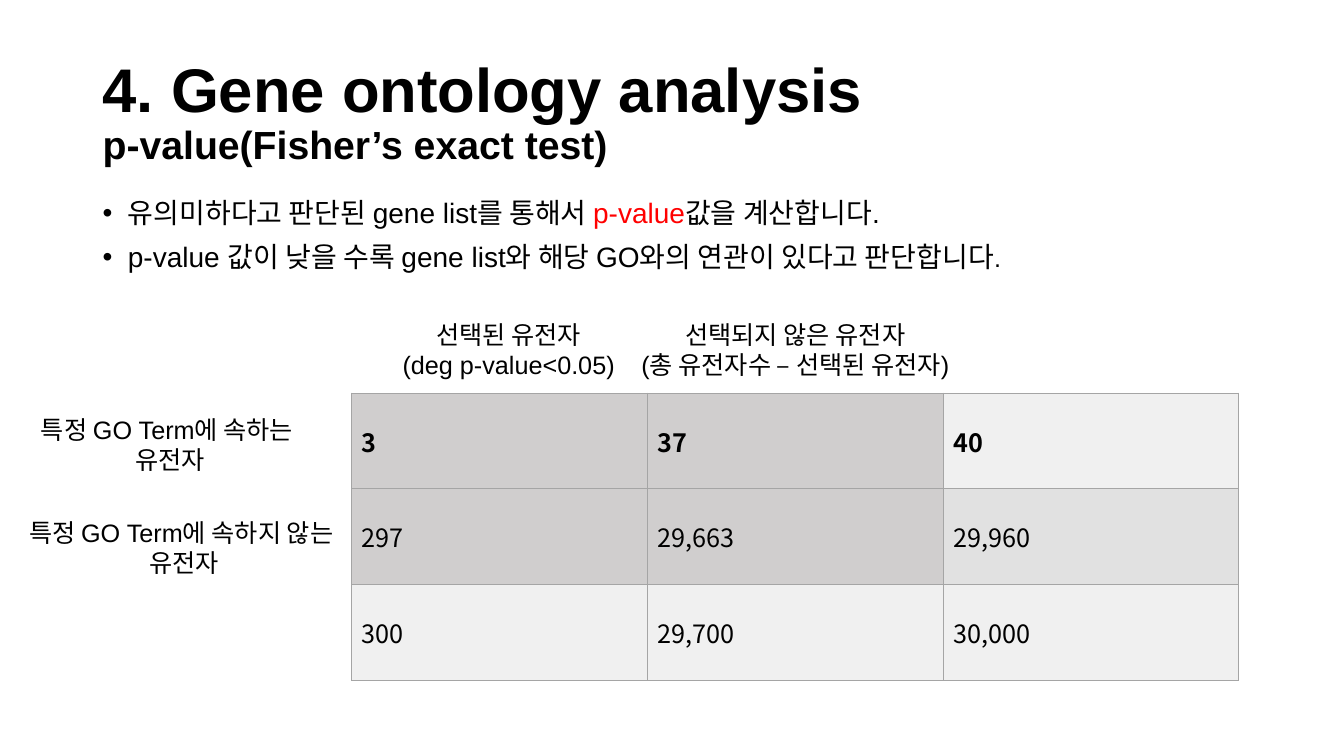
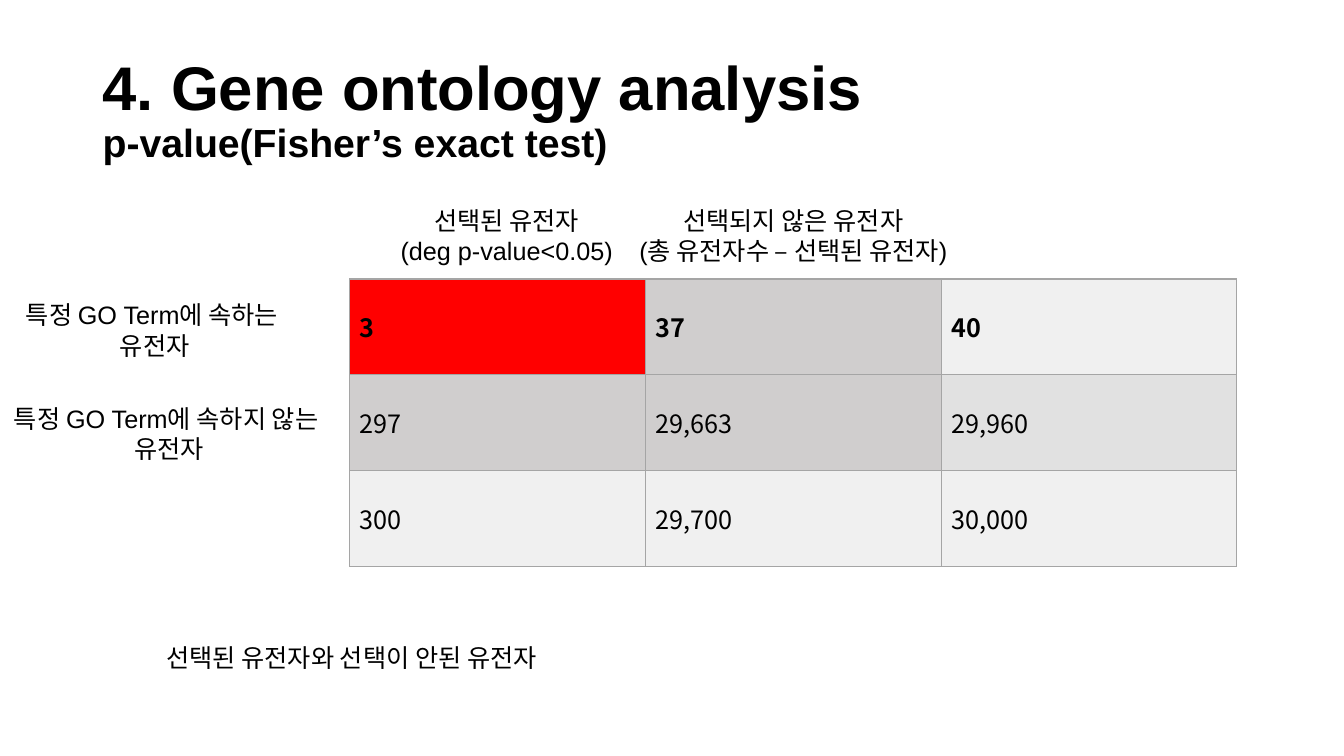
from itertools import product

from lxml.etree import SubElement
from pptx import Presentation
from pptx.dml.color import RGBColor
from pptx.enum.text import MSO_ANCHOR as Anchor, MSO_AUTO_SIZE as AutoSize, PP_ALIGN as Align
from pptx.oxml.ns import qn
from pptx.util import Inches, Pt

COLORS = {
    "text": "000000", "accent": "FF0000", "border": "A5A5A5",
    "counted": "D0CECE", "light": "F0F0F0", "band": "E1E1E1",
}
LATIN, KOREAN = "Arial", "Noto Sans CJK KR"

COUNTS = [["3", "37", "40"], ["297", "29,663", "29,960"], ["300", "29,700", "30,000"]]
CELL_FILLS = [["counted", "counted", "light"],
              ["counted", "counted", "band"],
              ["light", "light", "light"]]
TABLE_WIDTH, TABLE_HEIGHT = 66, 38
LABEL_HEIGHT = 9.47

# Offset from the table corner, width, paragraphs
COLUMN_LABELS = [
    (1.95, -10.45, 19.43, ["선택된 유전자\n(deg p-value<0.05)"]),
    (18.75, -10.45, 28.5, ["선택되지 않은 유전자", "(총 유전자수 – 선택된 유전자)"]),
]
ROW_LABELS = [
    (-27.98, 2.1, 28.88, ["특정 GO Term에 속하는 ", "유전자"]),
    (-26.93, 15.8, 28.88, ["특정 GO Term에 속하지 않는 ", "유전자"]),
]


def set_all(target, values):
    for name, value in values.items():
        setattr(target, name, value)


class SlideBuilder:
    """Holds the style and the current slide; lengths are percentages of the slide's size."""

    def __init__(self):
        self.deck = Presentation()
        set_all(self.deck, {"slide_width": Inches(13.33), "slide_height": Inches(7.5)})
        self.page = None

    def new_page(self):
        self.page = self.deck.slides.add_slide(self.deck.slide_layouts[6])

    def place(self, left, top, width, height):
        across, down = self.deck.slide_width / 100, self.deck.slide_height / 100
        return [round(value) for value in
                (left * across, top * down, width * across, height * down)]

    def add_spans(self, para, text, size=18, color="text", bold=False, font=LATIN):
        """Add text to a paragraph, turning each newline into a line break."""
        for index, part in enumerate(text.split("\n")):
            if index:
                para.add_line_break()
            if not part:
                continue
            span = para.add_run()
            span.text = part
            set_all(span.font, {"name": font, "size": Pt(size), "bold": bold})
            span.font.color.rgb = RGBColor.from_string(COLORS[color])
            SubElement(span.font._element, qn("a:ea"), typeface=KOREAN)

    def text(self, area, paragraphs, frame_format=None, para_format=None):
        """Add a text box; each paragraph is a list of (text, span options)."""
        frame = self.page.shapes.add_textbox(*self.place(*area)).text_frame
        set_all(frame, {"word_wrap": True, **(frame_format or {})})
        for index, spans in enumerate(paragraphs):
            para = frame.add_paragraph() if index else frame.paragraphs[0]
            set_all(para, para_format or {})
            for text, options in spans:
                self.add_spans(para, text, **options)
        return frame

    def title(self, top, heading, subheading):
        spans = [(heading + "\n", {"size": 44, "bold": True}),
                 (subheading, {"size": 28, "bold": True})]
        self.text((6.9, top, 86.25, 19.33), [spans],
                  {"vertical_anchor": Anchor.MIDDLE}, {"line_spacing": 0.9})

    def bullets(self, area, paragraphs):
        frame = self.text(area, paragraphs,
                          para_format={"line_spacing": 0.9, "space_before": Pt(10)})
        indent = Inches(0.25)
        for para in frame.paragraphs:
            properties = para._p.get_or_add_pPr()
            properties.set("marL", str(indent))
            properties.set("indent", str(-indent))
            SubElement(properties, qn("a:buFont"), typeface=LATIN)
            SubElement(properties, qn("a:buChar"), char="•")

    def label(self, area, lines):
        self.text(area, [[(line, {})] for line in lines],
                  {"auto_size": AutoSize.SHAPE_TO_FIT_TEXT}, {"alignment": Align.CENTER})

    def note(self, area, line):
        self.text(area, [[(line, {"font": KOREAN})]],
                  {"word_wrap": False, "auto_size": AutoSize.SHAPE_TO_FIT_TEXT})

    def border(self, cell):
        properties = cell._tc.get_or_add_tcPr()
        for side in ("lnL", "lnR", "lnT", "lnB"):
            line = SubElement(properties, qn(f"a:{side}"), w=str(Pt(1)))
            fill = SubElement(line, qn("a:solidFill"))
            SubElement(fill, qn("a:srgbClr"), val=COLORS["border"])

    def table(self, left, top, highlight=None):
        area = self.place(left, top, TABLE_WIDTH, TABLE_HEIGHT)
        table = self.page.shapes.add_table(len(COUNTS), len(COUNTS[0]), *area).table
        set_all(table, {"first_row": False, "horz_banding": False})
        for row, column in product(range(len(COUNTS)), range(len(COUNTS[0]))):
            cell = table.cell(row, column)
            cell.vertical_anchor = Anchor.MIDDLE
            self.border(cell)
            fill = "accent" if (row, column) == highlight else CELL_FILLS[row][column]
            cell.fill.solid()
            cell.fill.fore_color.rgb = RGBColor.from_string(COLORS[fill])
            self.add_spans(cell.text_frame.paragraphs[0], COUNTS[row][column],
                           bold=row == 0, font=KOREAN)

    def contingency(self, left, top, row_label_shift=0, highlight=None):
        """Add the gene count table with its row and column labels."""
        self.table(left, top, highlight)
        for labels, shift in ((COLUMN_LABELS, 0), (ROW_LABELS, row_label_shift)):
            for across, down, width, lines in labels:
                self.label((left + across + shift, top + down, width, LABEL_HEIGHT), lines)


def main():
    builder = SlideBuilder()
    heading = ("4. Gene ontology analysis", "p-value(Fisher’s exact test)")
    body = {"size": 20}

    builder.new_page()
    builder.title(5.33, *heading)
    builder.contingency(26.18, 52)
    builder.bullets((6.9, 25.73, 85.3, 63.47), [
        [("유의미하다고 판단된 gene list를 통해서 ", body),
         ("p-value", {"size": 20, "color": "accent"}),
         ("값을 계산합니다.", body)],
        [("p-value 값이 낮을 수록 gene list와 해당 GO와의 연관이 있다고 판단합니다", body),
         (".", {})],
    ])

    builder.new_page()
    builder.title(5.07, *heading)
    builder.contingency(26.03, 36.9, row_label_shift=-0.97, highlight=(0, 0))
    builder.note((11.63, 84.27, 33.3, 5.33), "선택된 유전자와 선택이 안된 유전자")

    builder.deck.save("out.pptx")


if __name__ == "__main__":
    main()
